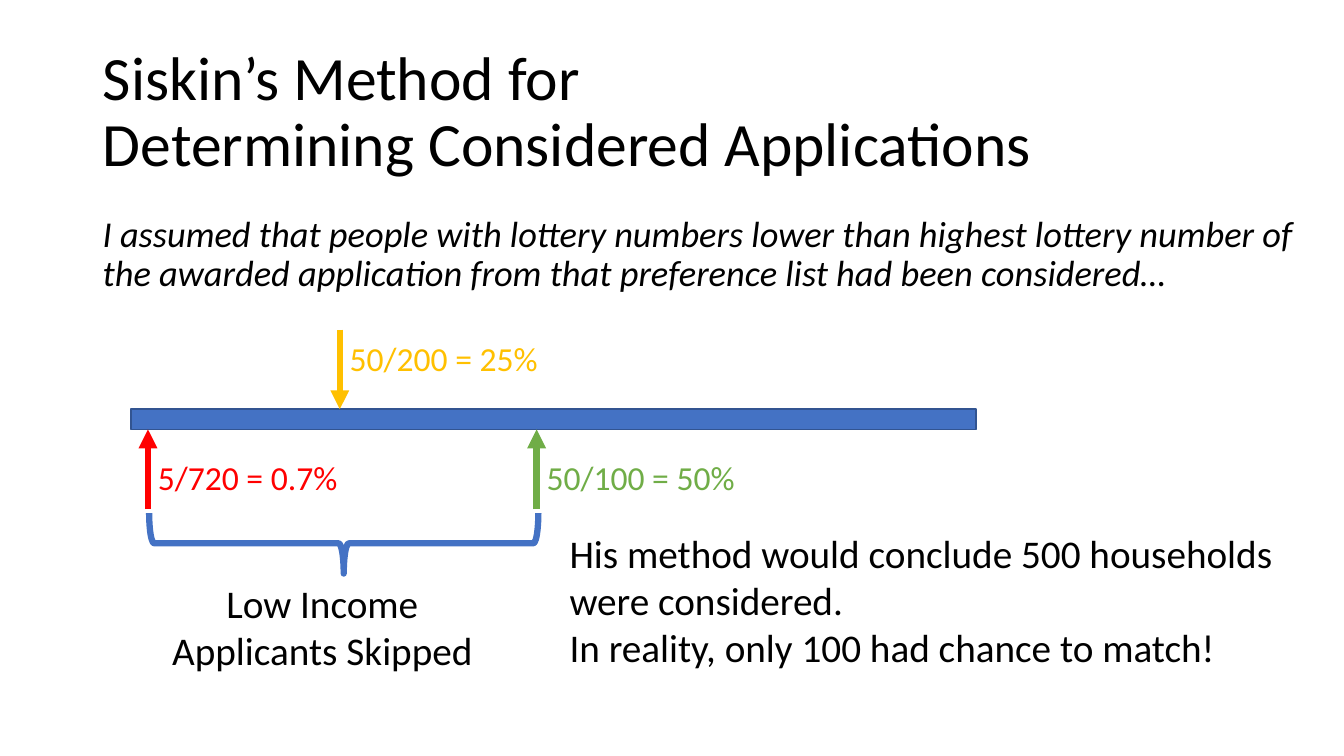
from lxml.etree import SubElement
from pptx import Presentation
from pptx.dml.color import RGBColor
from pptx.enum.shapes import MSO_CONNECTOR, MSO_SHAPE
from pptx.enum.text import MSO_ANCHOR, MSO_AUTO_SIZE, PP_ALIGN
from pptx.oxml.ns import qn
from pptx.util import Inches, Pt

WIDTH, HEIGHT = 13.33, 7.5
MARGIN = 0.92
COLORS = {
    "text": "000000",
    "blue": "4472C4",
    "outline": "325491",
    "yellow": "FFC000",
    "red": "FF0000",
    "green": "70AD47",
}
MARKERS = [
    ("50/200 = 25%", "yellow", 0.247, 2.08, True),
    ("5/720 = 0.7%", "red", 0.02, 2.0, False),
    ("50/100 = 50%", "green", 0.48, 2.08, False),
]
ARROW_LENGTH = 0.79
STROKE = Pt(4.5)


def color(name):
    return RGBColor.from_string(COLORS[name])


def inches(box):
    return [Inches(length) for length in box]


def write(frame, *lines, size=28, ink="text", italic=False, spacing=None,
          align=PP_ALIGN.LEFT, anchor=MSO_ANCHOR.TOP, wrap=True):
    frame.word_wrap = wrap
    frame.auto_size = MSO_AUTO_SIZE.NONE
    frame.vertical_anchor = anchor
    for index, line in enumerate(lines):
        paragraph = frame.add_paragraph() if index else frame.paragraphs[0]
        paragraph.text = line
        paragraph.alignment = align
        paragraph.line_spacing = spacing
        paragraph.font.name = "Calibri"
        paragraph.font.size = Pt(size)
        paragraph.font.italic = italic
        paragraph.font.color.rgb = color(ink)


def add_text(slide, box, *lines, **style):
    write(slide.shapes.add_textbox(*inches(box)).text_frame, *lines, **style)


def add_heading(slide, box):
    heading = slide.shapes.title
    heading.left, heading.top, heading.width, heading.height = inches(box)
    write(heading.text_frame, "Siskin’s Method for\vDetermining Considered Applications",
          size=44, spacing=0.9, anchor=MSO_ANCHOR.MIDDLE)


def add_arrow(slide, x, start, end, ink):
    arrow = slide.shapes.add_connector(
        MSO_CONNECTOR.STRAIGHT, *inches((x, start, x, end)))
    arrow.line.color.rgb = color(ink)
    arrow.line.width = STROKE
    SubElement(arrow.line._get_or_add_ln(), qn("a:tailEnd"), type="triangle")
    SubElement(arrow._element.spPr, qn("a:effectLst"))


def add_lottery_line(slide, box):
    left, top, width, height = box
    bar = slide.shapes.add_shape(MSO_SHAPE.RECTANGLE, *inches(box))
    bar.shadow.inherit = False
    bar.fill.solid()
    bar.fill.fore_color.rgb = color("blue")
    bar.line.color.rgb = color("outline")
    bar.line.width = Pt(1)
    for label, ink, share, label_width, above in MARKERS:
        x = left + share * width
        tip = top if above else top + height
        start = tip - ARROW_LENGTH if above else tip + ARROW_LENGTH
        add_arrow(slide, x, start, tip, ink)
        label_top = start + 0.03 if above else tip + 0.22
        add_text(slide, (x, label_top, label_width, 0.5), label,
                 size=24, ink=ink, wrap=False)


def add_skipped_range(slide, box):
    left, top, width, height = box
    depth = 0.6
    brace = slide.shapes.add_shape(MSO_SHAPE.LEFT_BRACE, *inches(
        (left + (width - depth) / 2, top + (depth - width) / 2, depth, width)))
    brace.rotation = 270
    brace.shadow.inherit = False
    brace.fill.background()
    brace.line.color.rgb = color("blue")
    brace.line.width = STROKE
    add_text(slide, (left - 0.02, top + depth + 0.01, width * 0.9, height - depth),
             "Low Income Applicants Skipped", align=PP_ALIGN.CENTER)


def main():
    deck = Presentation()
    deck.slide_width, deck.slide_height = Inches(WIDTH), Inches(HEIGHT)
    slide = deck.slides.add_slide(deck.slide_layouts[5])
    add_heading(slide, (MARGIN, 0.4, 11.5, 1.45))
    add_text(slide, (MARGIN, 2.09, 12.26, 1.0),
             "I assumed that people with lottery numbers lower than highest lottery "
             "number of the awarded application from that preference list had been "
             "considered…", size=26, italic=True, spacing=0.9)
    add_lottery_line(slide, (1.3, 4.06, 8.38, 0.2))
    add_skipped_range(slide, (1.48, 5.09, 3.86, 1.95))
    add_text(slide, (5.55, 5.2, 7.41, 1.82),
             "His method would conclude 500 households were considered.",
             "In reality, only 100 had chance to match!")
    deck.save("out.pptx")


if __name__ == "__main__":
    main()
